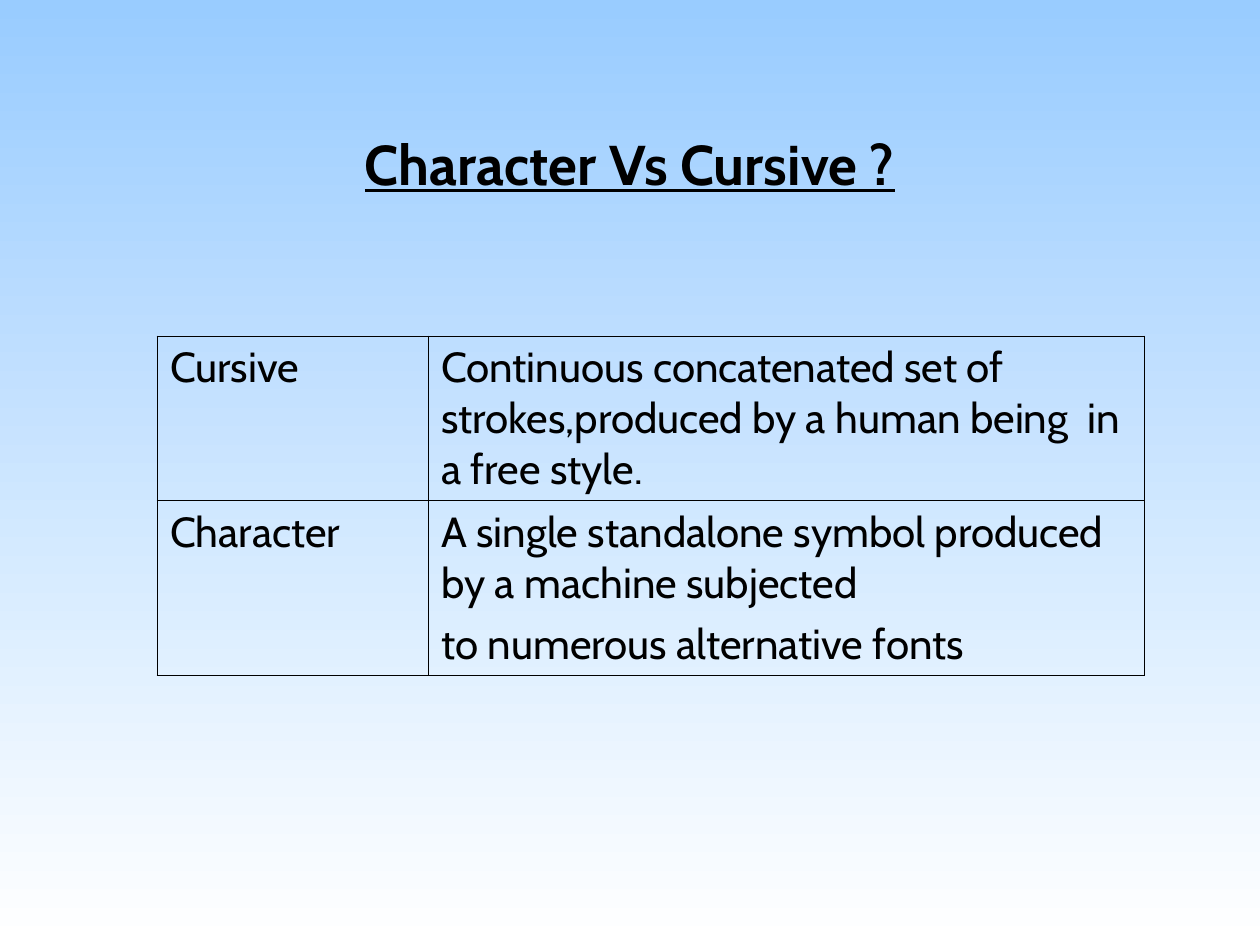
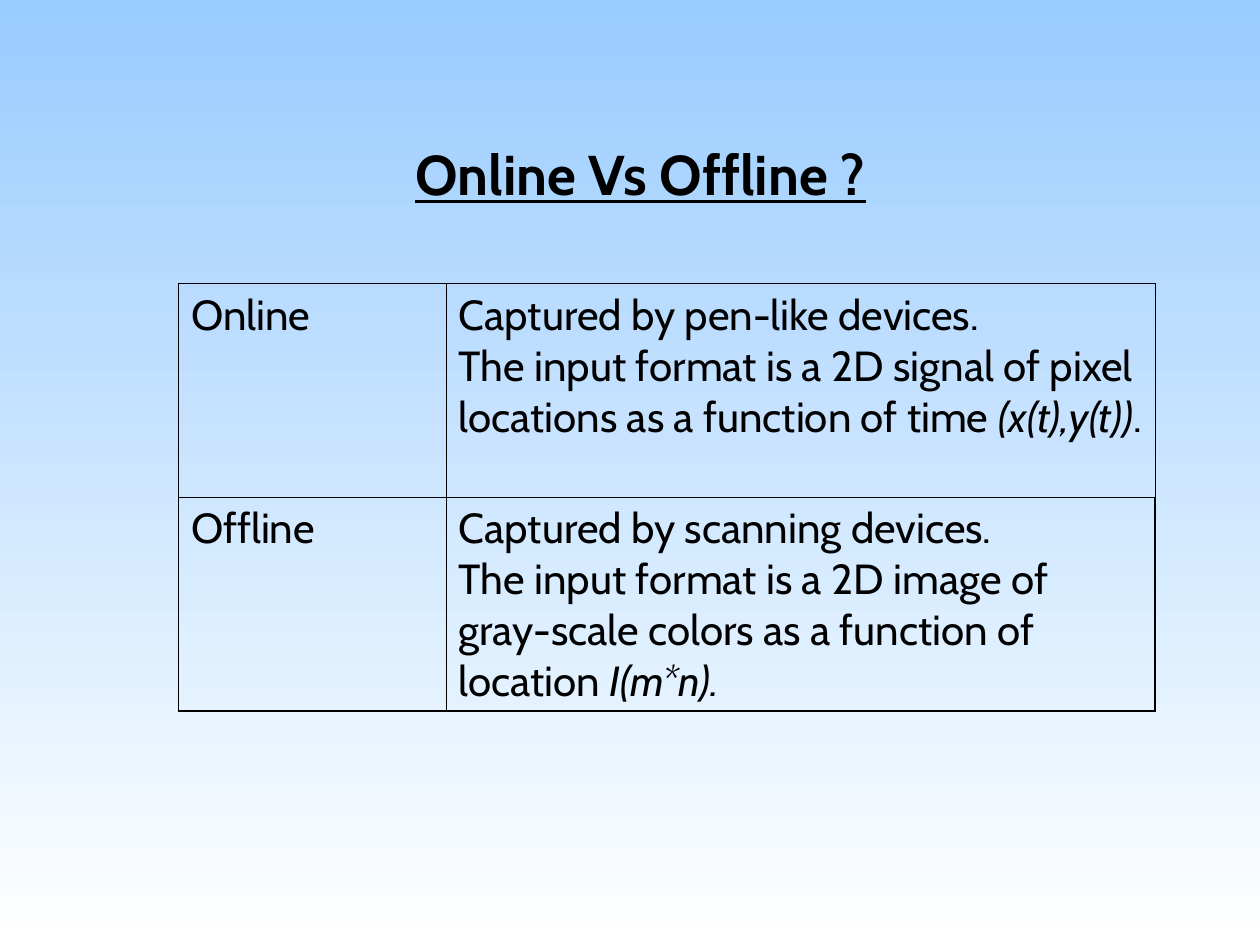
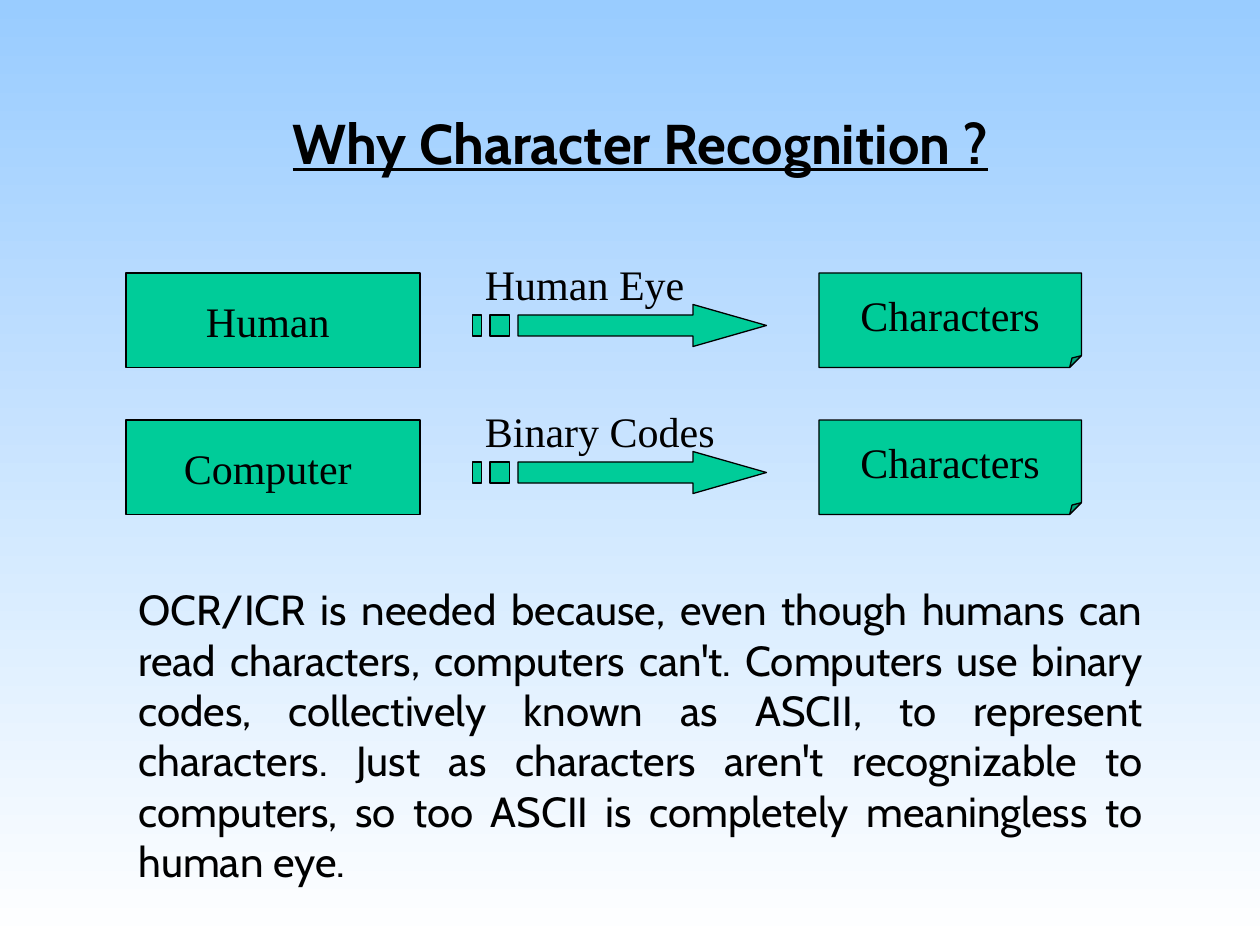
from lxml import etree
from pptx import Presentation
from pptx.dml.color import RGBColor
from pptx.enum import shapes, text
from pptx.oxml.ns import qn
from pptx.util import Pt

SKY = RGBColor(0x99, 0xCC, 0xFF)
WHITE = RGBColor(0xFF, 0xFF, 0xFF)
BLACK = RGBColor(0x00, 0x00, 0x00)
GREEN = RGBColor(0x00, 0xCC, 0x99)
BODY_FONT, DIAGRAM_FONT = "Cabin", "Times New Roman"
BODY_SIZE, TITLE_SIZE = 24, 32
THIN, HEAVY = 0.45, 1.08

# Outlines of the striped arrow, relative to its top left corner
ARROW = [
    [(26, 6), (126, 6), (126, 0), (168, 12), (126, 24), (126, 18), (26, 18)],
    [(0, 6), (5, 6), (5, 18), (0, 18)],
    [(10.5, 6), (21, 6), (21, 18), (10.5, 18)],
]

# Text between bars is italic; \v breaks a line
CURSIVE_ROWS = [
    ("Cursive", "Continuous concatenated set of strokes,produced by "
                "a human being  in a free style."),
    ("Character", "A single standalone symbol produced by a machine subjected\n"
                  "to numerous alternative fonts"),
]
ONLINE_ROWS = [
    ("Online", "Captured by pen-like devices.\vThe input format is a 2D signal of "
               "pixel locations as a function of time |(x(t),y(t))|."),
    ("Offline", "Captured by scanning devices.\vThe input format is a 2D image of "
                "gray-scale colors as a function of location |I(m*n).|"),
]
REASON = ("OCR/ICR is needed because, even though humans can read characters, "
          "computers can't. Computers use binary codes, collectively known as ASCII, "
          "to represent characters. Just as characters aren't recognizable to "
          "computers, so too ASCII is completely meaningless to human eye.")


def style_runs(frame, font=BODY_FONT, size=BODY_SIZE, align=None, before=0, strong=False):
    for paragraph in frame.paragraphs:
        paragraph.alignment = align
        paragraph.space_before = Pt(before)
        for run in paragraph.runs:
            run.font.name = font
            run.font.size = Pt(size)
            run.font.color.rgb = BLACK
            if strong:
                run.font.bold = run.font.underline = True


def add_text(slide, left, top, width, height, words, anchor=text.MSO_ANCHOR.TOP, **style):
    frame = slide.shapes.add_textbox(Pt(left), Pt(top), Pt(width), Pt(height)).text_frame
    frame.word_wrap = True
    frame.vertical_anchor = anchor
    frame.text = words
    style_runs(frame, **style)


def add_title(slide, left, top, words):
    add_text(slide, left, top, 612, 90, words, anchor=text.MSO_ANCHOR.MIDDLE,
             size=TITLE_SIZE, align=text.PP_ALIGN.CENTER, strong=True)


def fill_cell(cell, words):
    for index, line in enumerate(words.split("\n")):
        frame = cell.text_frame
        paragraph = frame.add_paragraph() if index else frame.paragraphs[0]
        plain, *rest = line.split("|")
        paragraph.text = plain
        for place, part in enumerate(filter(None, rest)):
            run = paragraph.add_run()
            run.text = part
            run.font.italic = place % 2 == 0
    style_runs(cell.text_frame, before=6)
    cell.fill.background()


def set_borders(cell, widths):
    """Draw the left, right, top and bottom borders, in that order."""
    properties = cell._tc.get_or_add_tcPr()
    for index, (side, width) in enumerate(zip("LRTB", widths)):
        line = etree.Element(qn(f"a:ln{side}"), w=str(int(Pt(width))))
        fill = etree.SubElement(line, qn("a:solidFill"))
        etree.SubElement(fill, qn("a:srgbClr"), val=str(BLACK))
        properties.insert(index, line)


def add_definitions(slide, left, top, widths, heights, rows):
    """Add a two-column table of terms and their meanings."""
    table = slide.shapes.add_table(len(rows), len(widths), Pt(left), Pt(top),
                                   Pt(sum(widths)), Pt(sum(heights))).table
    table.first_row = table.horz_banding = False
    for column, width in zip(table.columns, widths):
        column.width = Pt(width)
    for r, (height, row) in enumerate(zip(heights, rows)):
        table.rows[r].height = Pt(height)
        bottom = r == len(rows) - 1
        for c, words in enumerate(row):
            cell = table.cell(r, c)
            fill_cell(cell, words)
            corner = bottom and c == len(row) - 1
            set_borders(cell, [HEAVY if c == 0 else THIN, HEAVY if corner else THIN,
                               THIN, HEAVY if bottom else THIN])


def paint(shape):
    shape.shadow.inherit = False
    shape.fill.solid()
    shape.fill.fore_color.rgb = GREEN
    shape.line.color.rgb = BLACK
    shape.line.width = Pt(0.75)


def add_box(slide, preset, left, top, width, height, words):
    box = slide.shapes.add_shape(preset, Pt(left), Pt(top), Pt(width), Pt(height))
    paint(box)
    box.text_frame.text = words
    box.text_frame.word_wrap = False
    box.text_frame.vertical_anchor = text.MSO_ANCHOR.MIDDLE
    style_runs(box.text_frame, font=DIAGRAM_FONT, align=text.PP_ALIGN.CENTER)
    return box


def set_fold(box, share):
    """Set the folded corner's size, in thousandths of a percent of the short side."""
    guides = box._element.spPr.find(qn("a:prstGeom")).find(qn("a:avLst"))
    etree.SubElement(guides, qn("a:gd"), name="adj", fmla=f"val {share}")


def add_striped_arrow(slide, left, top):
    (start, *corners), *stripes = ARROW
    builder = slide.shapes.build_freeform(*start, scale=float(Pt(1)))
    builder.add_line_segments(corners, close=True)
    for start, *corners in stripes:
        builder.move_to(*start)
        builder.add_line_segments(corners, close=True)
    paint(builder.convert_to_shape(Pt(left), Pt(top)))


def add_reading_flow(slide, left, top, reader, means):
    """Add one reader, the means it reads by, and the characters it reads."""
    add_box(slide, shapes.MSO_SHAPE.RECTANGLE, left, top, 168, 54, reader)
    page = add_box(slide, shapes.MSO_SHAPE.FOLDED_CORNER, left + 396, top, 150, 54,
                   "Characters")
    set_fold(page, 12500)
    add_striped_arrow(slide, left + 198, top + 18)
    add_text(slide, left + 198, top - 12, 168, 36, means, font=DIAGRAM_FONT)


def set_background(master):
    fill = master.background.fill
    fill.gradient()
    fill.gradient_angle = 270
    for stop, colour in zip(fill.gradient_stops, (SKY, WHITE)):
        stop.color.rgb = colour


def comparison_slide(slide, title, title_at, table_at, widths, heights, rows):
    add_title(slide, *title_at, title)
    add_definitions(slide, *table_at, widths, heights, rows)


def reason_slide(slide):
    add_title(slide, 60, 36, "Why Character Recognition ?")
    add_text(slide, 72, 330, 588, 186, REASON, align=text.PP_ALIGN.JUSTIFY, before=6)
    flows = [("Human ", "Human Eye"), ("Computer ", "Binary Codes")]
    for index, (reader, means) in enumerate(flows):
        add_reading_flow(slide, 72, 156 + 84 * index, reader, means)


def main():
    deck = Presentation()
    deck.slide_width, deck.slide_height = Pt(720), Pt(540)
    set_background(deck.slide_master)
    blank = deck.slide_layouts[6]
    cursive, online, reason = (deck.slides.add_slide(blank) for _ in range(3))
    comparison_slide(cursive, "Character Vs Cursive ?", (54, 48), (90, 192),
                     (155, 409), (94, 100), CURSIVE_ROWS)
    comparison_slide(online, "Online Vs Offline ?", (60, 54), (102, 162),
                     (153, 405), (122, 122), ONLINE_ROWS)
    reason_slide(reason)
    deck.save("out.pptx")


if __name__ == "__main__":
    main()
